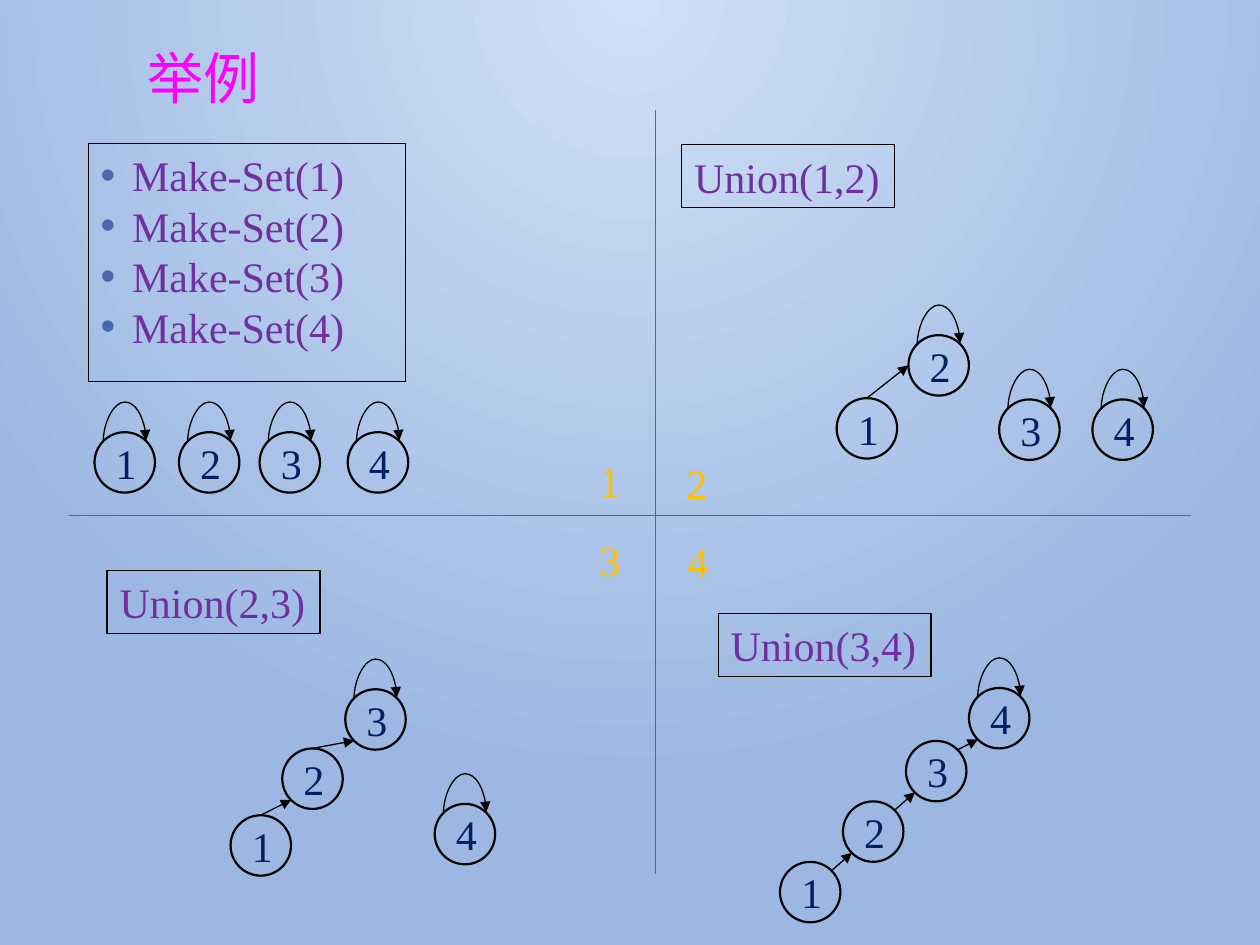
from lxml.etree import SubElement
from pptx import Presentation
from pptx.dml.color import RGBColor
from pptx.enum.shapes import MSO_CONNECTOR, MSO_SHAPE
from pptx.enum.text import MSO_ANCHOR, MSO_AUTO_SIZE, PP_ALIGN
from pptx.oxml.ns import qn
from pptx.util import Inches, Pt

BLACK = RGBColor(0x00, 0x00, 0x00)
NAVY = RGBColor(0x00, 0x20, 0x60)
PURPLE = RGBColor(0x70, 0x30, 0xA0)
MAGENTA = RGBColor(0xFF, 0x00, 0xFF)
GOLD = RGBColor(0xFF, 0xC0, 0x00)
BLUE = RGBColor(0x4A, 0x66, 0xAC)
SKY_LIGHT = RGBColor(0xCF, 0xDF, 0xF6)
SKY_DARK = RGBColor(0x9C, 0xB8, 0xE2)

SLIDE_WIDTH, SLIDE_HEIGHT = Inches(10), Inches(7.5)
CELL = SLIDE_WIDTH / 100  # square grid of 100 columns and 75 rows
SPLIT_COLUMN, SPLIT_ROW = 52, 40.9
NODE = 4.8  # circle diameter in cells
NEAR, FAR = 0.15, 0.85  # where a circle's diagonal meets its outline
SITES = {"top": (0.5, 0), "left": (0, 0.5),
         "top right": (FAR, NEAR), "bottom left": (NEAR, FAR)}


def cells(*counts):
    return [round(count * CELL) for count in counts]


def add_text(paragraph, text, color, size=24, font="Times New Roman"):
    run = paragraph.add_run()
    run.text = text
    run.font.name, run.font.size = font, Pt(size)
    run.font.color.rgb = color
    SubElement(run.font._element, qn("a:ea")).set("typeface", font)


def add_text_box(slide, box, text, color, **font):
    shape = slide.shapes.add_textbox(*cells(*box))
    shape.text_frame.word_wrap = True
    paragraph = shape.text_frame.paragraphs[0]
    add_text(paragraph, text, color, **font)
    return shape, paragraph


def add_outline(slide, preset, box, weight):
    shape = slide.shapes.add_shape(preset, *cells(*box))
    shape.shadow.inherit = False
    shape.fill.background()
    shape.line.color.rgb, shape.line.width = BLACK, Pt(weight)
    shape.text_frame.vertical_anchor = MSO_ANCHOR.TOP
    return shape


def add_line(slide, kind, ends, color=BLACK, arrow=True):
    connector = slide.shapes.add_connector(kind, *ends)
    connector.line.color.rgb, connector.line.width = color, Pt(0.75)
    if arrow:
        SubElement(connector.line._get_or_add_ln(), qn("a:tailEnd")).set("type", "triangle")
    SubElement(connector._element.spPr, qn("a:effectLst"))
    return connector


def add_self_loop(slide, left, top):
    """Curved arrow from a circle's top left over to its top right."""
    center_x, center_y = cells(left + NODE / 2, top + NODE * NEAR)
    half_span, half_point = cells(1.7)[0], Pt(0.5)
    loop = add_line(slide, MSO_CONNECTOR.CURVE,
                    (center_x + half_point, center_y + half_span,
                     center_x - half_point, center_y - half_span))
    loop.rotation = 90
    adjustments = loop._element.spPr.find(qn("a:prstGeom")).get_or_add_avLst()
    guide = SubElement(adjustments, qn("a:gd"))
    guide.set("name", "adj1")
    guide.set("fmla", "val 2306900")


def add_forest(slide, origin, nodes, roots, links=()):
    """Numbered circles; roots point at themselves, links join child to parent."""
    places = [(origin[0] + x, origin[1] + y) for x, y in nodes]
    for number, (left, top) in enumerate(places, 1):
        circle = add_outline(slide, MSO_SHAPE.OVAL, (left, top, NODE, NODE), 1.25)
        circle.text_frame.vertical_anchor = MSO_ANCHOR.MIDDLE
        paragraph = circle.text_frame.paragraphs[0]
        paragraph.alignment = PP_ALIGN.CENTER
        add_text(paragraph, str(number), NAVY)
        if number in roots:
            add_self_loop(slide, left, top)
    for child, child_site, parent_site in links:
        ends = []
        for number, site in ((child, child_site), (child + 1, parent_site)):
            (left, top), (across, down) = places[number - 1], SITES[site]
            ends += cells(left + NODE * across, top + NODE * down)
        add_line(slide, MSO_CONNECTOR.STRAIGHT, ends)


def add_operation(slide, origin, offset, text):
    """Framed label naming the union that a quadrant shows."""
    box = (origin[0] + offset[0], origin[1] + offset[1], 16.9, 5)
    frame = add_outline(slide, MSO_SHAPE.RECTANGLE, box, 0.75).text_frame
    frame.word_wrap = False
    frame.auto_size = MSO_AUTO_SIZE.SHAPE_TO_FIT_TEXT
    frame.paragraphs[0].alignment = PP_ALIGN.LEFT
    add_text(frame.paragraphs[0], text, PURPLE)


def add_make_set_list(slide, box):
    frame = add_outline(slide, MSO_SHAPE.RECTANGLE, box, 0.75).text_frame
    for number in range(1, 5):
        paragraph = frame.paragraphs[0] if number == 1 else frame.add_paragraph()
        paragraph.alignment = PP_ALIGN.LEFT
        paragraph.line_spacing = Pt(28.8)
        paragraph.space_before = Pt(8 if number == 1 else 0)
        properties = paragraph._p.get_or_add_pPr()
        properties.set("marL", str(Inches(0.25)))
        properties.set("indent", str(-Inches(0.25)))
        bullet_color = SubElement(properties, qn("a:buClr"))
        SubElement(bullet_color, qn("a:srgbClr")).set("val", str(BLUE))
        SubElement(properties, qn("a:buFont")).set("typeface", "Arial")
        SubElement(properties, qn("a:buChar")).set("char", "•")
        add_text(paragraph, f"Make-Set({number})", PURPLE)


def add_corner_number(slide, origin, offset, number):
    box = (origin[0] + offset[0], origin[1] + offset[1], 6, 7)
    paragraph = add_text_box(slide, box, str(number), GOLD)[1]
    paragraph.line_spacing, paragraph.space_before = 1.2, Pt(10)


def add_background(slide):
    fill = slide.background.fill
    fill.gradient()
    for stop, color in zip(fill.gradient_stops, (SKY_LIGHT, SKY_DARK)):
        stop.color.rgb = color
    # Radial gradient centred on the top edge
    gradient = slide.element.find(".//" + qn("a:gradFill"))
    gradient.remove(gradient.find(qn("a:lin")))
    radial = SubElement(gradient, qn("a:path"))
    radial.set("path", "circle")
    focus = SubElement(radial, qn("a:fillToRect"))
    for side, share in (("l", 43000), ("t", 0), ("r", 43000), ("b", 100000)):
        focus.set(side, str(share))


def add_title(slide, box):
    shape, paragraph = add_text_box(slide, box, "举例", MAGENTA, size=32, font="Noto Sans CJK SC")
    shape.text_frame.vertical_anchor = MSO_ANCHOR.MIDDLE
    paragraph.line_spacing = 0.9


def main():
    presentation = Presentation()
    presentation.slide_width, presentation.slide_height = SLIDE_WIDTH, SLIDE_HEIGHT
    slide = presentation.slides.add_slide(presentation.slide_layouts[6])
    add_background(slide)
    add_title(slide, (10.7, 3.1, 71.9, 6.7))

    # Cross that divides the slide into four steps
    for ends in ((5.5, SPLIT_ROW, 94.5, SPLIT_ROW), (SPLIT_COLUMN, 8.7, SPLIT_COLUMN, 69.4)):
        add_line(slide, MSO_CONNECTOR.STRAIGHT, cells(*ends), BLUE, arrow=False)
    origins = [(x, y) for y in (0, SPLIT_ROW) for x in (0, SPLIT_COLUMN)]
    first, second, third, fourth = origins
    corners = ((46.6, 34.9), (1.5, 35), (46.6, 0.2), (1.6, 0.3))
    for number, (origin, offset) in enumerate(zip(origins, corners), 1):
        add_corner_number(slide, origin, offset, number)

    # Step 1: four single sets
    add_make_set_list(slide, (7, 11.4, 25.2, 18.9))
    add_forest(slide, first, [(x, 34.3) for x in (7.5, 14.2, 20.6, 27.6)], (1, 2, 3, 4))

    # Step 2: 1 joins 2
    add_operation(slide, second, (2.1, 11.5), "Union(1,2)")
    add_forest(slide, second, [(14.4, 31.6), (20.1, 26.6), (27.3, 31.7), (34.7, 31.7)],
               (2, 3, 4), [(1, "top", "left")])

    # Step 3: 2 joins 3
    add_operation(slide, third, (8.5, 4.4), "Union(2,3)")
    add_forest(slide, third, [(18.3, 23.8), (22.4, 18.5), (27.4, 13.8), (34.5, 22.9)],
               (3, 4), [(child, "top", "bottom left") for child in (1, 2)])

    # Step 4: 3 joins 4
    add_operation(slide, fourth, (5, 7.8), "Union(3,4)")
    add_forest(slide, fourth, [(9.9, 27.5), (14.9, 22.7), (19.9, 17.9), (24.9, 13.7)],
               (4,), [(child, "top right", "bottom left") for child in (1, 2, 3)])

    presentation.save("out.pptx")


if __name__ == "__main__":
    main()
